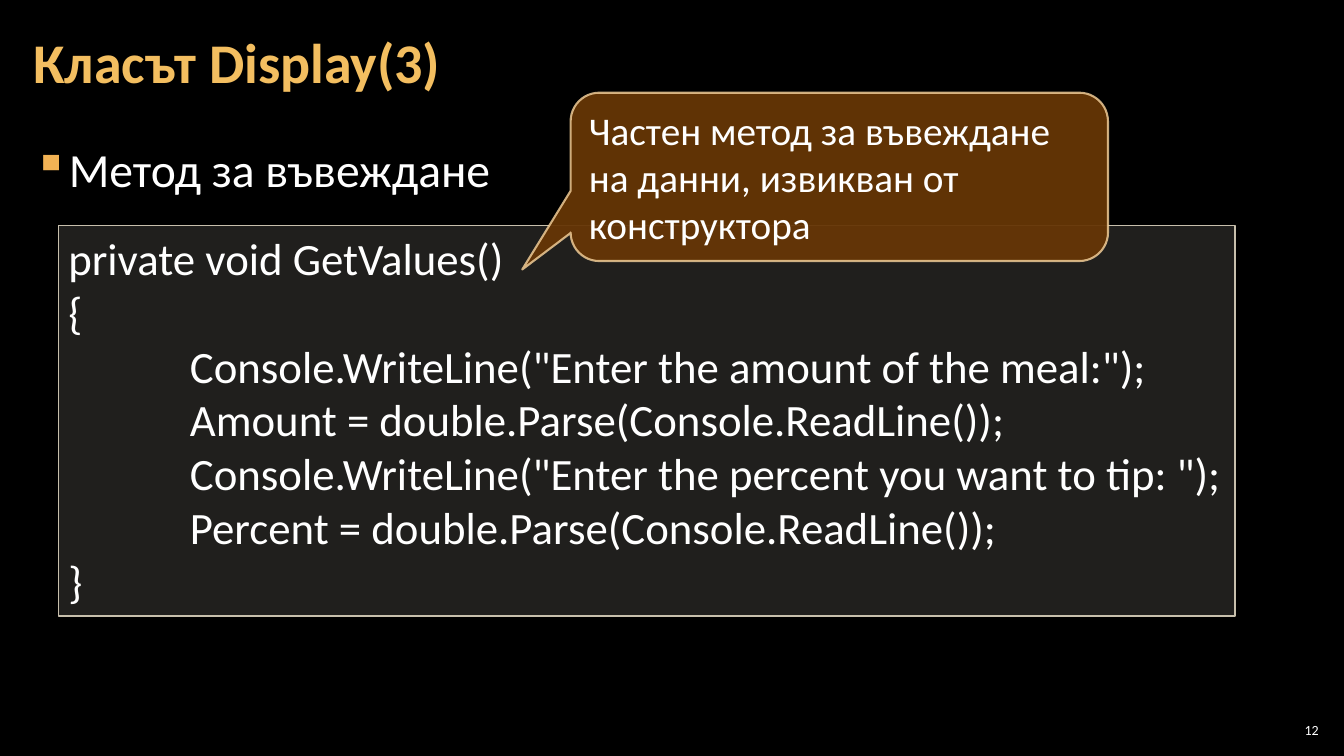
from lxml import etree
from pptx import Presentation
from pptx.dml.color import RGBColor
from pptx.enum.shapes import MSO_SHAPE as Preset
from pptx.enum.text import MSO_ANCHOR as Anchor, PP_ALIGN as Align
from pptx.oxml.ns import qn
from pptx.util import Inches, Pt

TITLE = "Класът Display(3)"
BULLET = "Метод за въвеждане"
CODE = """private void GetValues()
{
            Console.WriteLine("Enter the amount of the meal:");
            Amount = double.Parse(Console.ReadLine());
            Console.WriteLine("Enter the percent you want to tip: ");
            Percent = double.Parse(Console.ReadLine());
}""".split("\n")
NOTE = "Частен метод за въвеждане на данни, извикван от конструктора"
PAGE = "12"

FONT = "Calibri"
BLACK = RGBColor(0x00, 0x00, 0x00)
WHITE = RGBColor(0xFF, 0xFF, 0xFF)
GOLD = RGBColor(0xF3, 0xBE, 0x60)
BULLET_GOLD = RGBColor(0xF2, 0xB2, 0x54)
SAND = RGBColor(0xD9, 0xD5, 0xC7)
SAND_LINE = RGBColor(0xC7, 0xBF, 0xAC)
BROWN = RGBColor(0x66, 0x36, 0x06)
PEACH = RGBColor(0xF8, 0xD4, 0x9E)


def write(shape, lines, size, color=WHITE, bold=False, align=Align.LEFT,
          anchor=Anchor.TOP, insets=(0.1, 0.05, 0.1, 0.05)):
    frame = shape.text_frame
    frame.word_wrap = True
    frame.vertical_anchor = anchor
    (frame.margin_left, frame.margin_top,
     frame.margin_right, frame.margin_bottom) = map(Inches, insets)
    frame.text = "\n".join(lines)
    for paragraph in frame.paragraphs:
        paragraph.alignment = align
        font = paragraph.font
        font.name, font.size, font.bold = FONT, Pt(size), bold
        font.color.rgb = color
    return frame.paragraphs[0]


def add_bullet(paragraph, char, color, indent):
    props = paragraph._p.get_or_add_pPr()
    props.set("marL", str(Inches(indent)))
    props.set("indent", str(-Inches(indent)))
    bullet_color = etree.Element(qn("a:buClr"))
    etree.SubElement(bullet_color, qn("a:srgbClr"), val=str(color))
    bullet = etree.Element(qn("a:buChar"), char=char)
    default_run = props.find(qn("a:defRPr"))
    default_run.addprevious(bullet_color)
    default_run.addprevious(bullet)


def set_opacity(paint, percent):
    color = paint._xPr.find(".//" + qn("a:srgbClr"))
    etree.SubElement(color, qn("a:alpha"), val=str(percent * 1000))


def add_panel(slide, preset, box, fill, opacity, line, width):
    panel = slide.shapes.add_shape(preset, *map(Inches, box))
    panel.shadow.inherit = False
    panel.fill.solid()
    panel.fill.fore_color.rgb = fill
    set_opacity(panel.fill, opacity)
    panel.line.color.rgb = line
    panel.line.width = Pt(width)
    return panel


def add_box(slide, *box):
    return slide.shapes.add_textbox(*map(Inches, box))


deck = Presentation()
deck.slide_width, deck.slide_height = Inches(13.33), Inches(7.5)
slide = deck.slides.add_slide(deck.slide_layouts[6])
slide.background.fill.solid()
slide.background.fill.fore_color.rgb = BLACK

topic = write(add_box(slide, 0.21, 1.26, 12.91, 4.82), [BULLET], 34,
              insets=(0.12, 0.1, 0.12, 0.04))
topic.line_spacing = 1.05
add_bullet(topic, "▪", BULLET_GOLD, 0.33)

write(add_box(slide, 0.21, 0.04, 12.91, 1.21), [TITLE], 40, GOLD, bold=True,
      anchor=Anchor.MIDDLE, insets=(0.12, 0.04, 0.12, 0.04)).line_spacing = 0.9

listing = add_panel(slide, Preset.RECTANGLE, (0.58, 2.24, 11.67, 3.87),
                    SAND, 15, SAND_LINE, 1)
write(listing, CODE, 32)

callout = add_panel(slide, Preset.ROUNDED_RECTANGULAR_CALLOUT,
                    (5.66, 0.92, 5.33, 1.67), BROWN, 95, PEACH, 1.5)
set_opacity(callout.line.fill, 80)
for index, value in enumerate((-0.59, 0.55, 0.17)):
    callout.adjustments[index] = value
write(callout, [NOTE], 28, anchor=Anchor.MIDDLE)

write(add_box(slide, 12.65, 7.14, 0.47, 0.21), [PAGE], 10, align=Align.RIGHT,
      anchor=Anchor.MIDDLE, insets=(0.04,) * 4)

deck.save("out.pptx")
